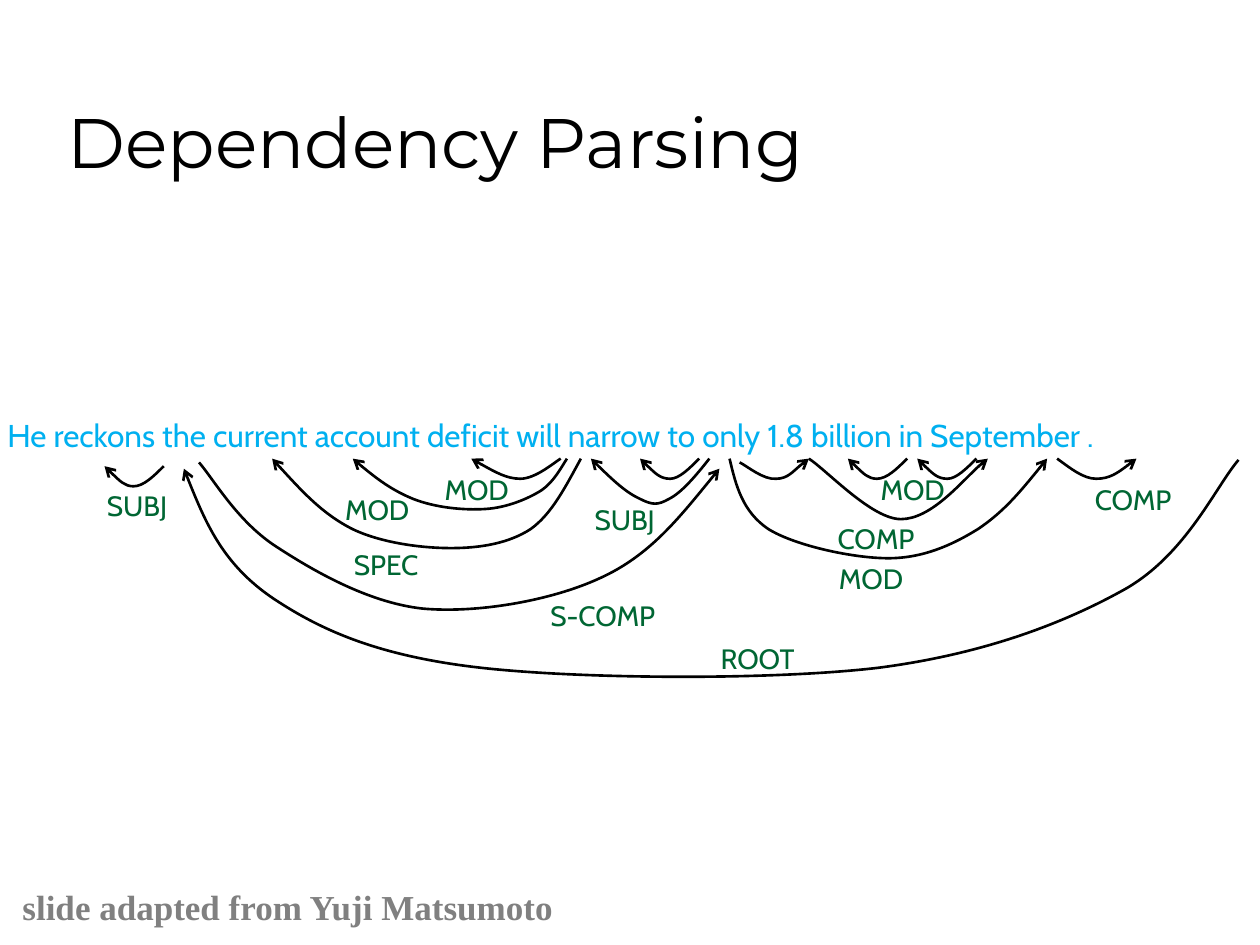
from typing import NamedTuple

from lxml.etree import SubElement
from pptx import Presentation
from pptx.dml.color import RGBColor
from pptx.enum.text import MSO_ANCHOR, MSO_AUTO_SIZE, PP_ALIGN
from pptx.oxml.ns import qn
from pptx.util import Inches, Pt

COLUMNS, ROWS = 1000, 750
WORD_ROW = 364
CUP_DEPTH = 16
LABEL_HEIGHT = 37
LABEL_WIDTHS = {"MOD": 73, "SUBJ": 69, "ROOT": 81, "S-COMP": 104, "SPEC": 72, "COMP": 85}

Point = tuple[int, int]


class Text(NamedTuple):
    """Text in a box measured in grid columns and rows."""
    words: str
    left: int
    top: int
    width: int
    height: int
    font: dict
    color: str
    box: dict = {}
    paragraph: dict = {}
    hanging: float = 0


class Label(NamedTuple):
    """A relation name placed by its column and row."""
    words: str
    left: int
    top: int


class Cup(NamedTuple):
    """A shallow symmetric arc from its dependent to its head word."""
    dependent: int
    head: int
    row: int = WORD_ROW


GROWING = {"word_wrap": False, "auto_size": MSO_AUTO_SIZE.SHAPE_TO_FIT_TEXT}

TEXTS = [
    Text("Dependency Parsing", 44, 25, 850, 125, {"name": "Montserrat", "size": Pt(40)},
         "000000", {"word_wrap": True, "vertical_anchor": MSO_ANCHOR.BOTTOM}),
    Text("slide adapted from Yuji Matsumoto", 8, 698, 445, 44,
         {"name": "Times New Roman", "size": Pt(20), "bold": True}, "808080", GROWING),
    Text("He reckons the current account deficit will narrow to only 1.8 billion in September .",
         -4, 325, 1064, 40, {"name": "Cabin", "size": Pt(18)}, "00B0F0", GROWING,
         {"space_before": Pt(4.5)}, 0.38),
]

LABELS = [
    Label("SUBJ", 75, 383), Label("SUBJ", 462, 394), Label("SPEC", 271, 430),
    Label("MOD", 264, 386), Label("MOD", 343, 370), Label("MOD", 689, 370),
    Label("MOD", 656, 441), Label("COMP", 655, 409), Label("COMP", 859, 378),
    Label("S-COMP", 427, 470), Label("ROOT", 562, 504),
]

CUPS = [Cup(83, 130, 370), Cup(902, 839), Cup(728, 775), Cup(673, 720), Cup(508, 555)]

ARCS: list[list[Point]] = [
    [(642, 364), (637, 367), (625, 380), (616, 380), (606, 381), (593, 370), (587, 367)],
    [(784, 364), (772, 372), (739, 412), (715, 412), (692, 412), (657, 374), (642, 364)],
    [(831, 364), (814, 385), (797, 406), (776, 420), (755, 433), (732, 443), (705, 443),
     (677, 443), (631, 433), (610, 420), (589, 406), (584, 385), (579, 364)],
    [(374, 364), (388, 372), (402, 380), (413, 380), (425, 380), (440, 367), (445, 364)],
    [(280, 364), (295, 377), (311, 389), (328, 396), (346, 403), (368, 405), (385, 404),
     (402, 403), (419, 396), (430, 389), (440, 382), (446, 370), (450, 364)],
    [(216, 364), (236, 386), (256, 408), (280, 420), (303, 431), (335, 435), (358, 435),
     (382, 435), (404, 431), (421, 420), (438, 408), (449, 386), (461, 364)],
    [(469, 364), (483, 378), (497, 391), (508, 396), (518, 401), (522, 401), (531, 396),
     (541, 391), (552, 378), (563, 364)],
    [(571, 372), (543, 406), (516, 441), (476, 459), (437, 477), (378, 487), (335, 483),
     (291, 478), (247, 452), (218, 433), (188, 413), (170, 381), (158, 367)],
    [(146, 372), (161, 410), (177, 448), (217, 475), (256, 501), (302, 521), (382, 530),
     (462, 539), (612, 540), (697, 530), (782, 519), (846, 494), (894, 467),
     (942, 439), (965, 386), (983, 365)],
]


def color(value: str) -> RGBColor:
    """Turn a hex string into a colour."""
    return RGBColor.from_string(value)


def apply(target, values: dict) -> None:
    """Set every attribute named in a dict of format values."""
    for name, value in values.items():
        setattr(target, name, value)


def cup_points(cup: Cup) -> list[Point]:
    """Work out the curve points of a shallow symmetric arc."""
    depths = (0, 0.5, 1, 1, 1, 0.5, 0)
    step = (cup.head - cup.dependent) / 6
    return [(round(cup.dependent + step * index), round(cup.row + CUP_DEPTH * depth))
            for index, depth in enumerate(depths)]


def label_text(label: Label) -> Text:
    """Give a relation name its box and format."""
    return Text(label.words, label.left, label.top, LABEL_WIDTHS[label.words], LABEL_HEIGHT,
                {"name": "Cabin", "size": Pt(16)}, "006633", GROWING)


def draw_text(slide, text: Text, unit: int) -> None:
    """Draw one text box."""
    shape = slide.shapes.add_textbox(
        *(length * unit for length in (text.left, text.top, text.width, text.height)))
    apply(shape.text_frame, text.box)
    paragraph = shape.text_frame.paragraphs[0]
    apply(paragraph, text.paragraph)
    if text.hanging:
        properties = paragraph._p.get_or_add_pPr()
        properties.set("marL", str(Inches(text.hanging)))
        properties.set("indent", str(-Inches(text.hanging)))
    run = paragraph.add_run()
    run.text = text.words
    apply(run.font, text.font)
    run.font.color.rgb = color(text.color)


def draw_arc(slide, points: list[Point], unit: int) -> None:
    """Draw a curve of cubic pieces with an arrowhead at its first point."""
    builder = slide.shapes.build_freeform(*points[0], scale=unit)
    builder.add_line_segments(points[1:], close=False)
    shape = builder.convert_to_shape()
    outline = next(shape._element.iter(qn("a:path")))
    segments = outline.findall(qn("a:lnTo"))
    for first in range(0, len(segments), 3):
        curve = SubElement(outline, qn("a:cubicBezTo"))
        for segment in segments[first:first + 3]:
            curve.append(segment[0])
            outline.remove(segment)
    shape.shadow.inherit = False
    shape.fill.background()
    shape.line.color.rgb = color("000000")
    shape.line.width = Pt(1.5)
    SubElement(shape.line._get_or_add_ln(), qn("a:headEnd"), type="arrow")


def main() -> None:
    """Build the dependency parsing slide."""
    presentation = Presentation()
    apply(presentation, {"slide_width": Inches(10), "slide_height": Inches(7.5)})
    unit = presentation.slide_width // COLUMNS
    slide = presentation.slides.add_slide(presentation.slide_layouts[6])
    for points in [cup_points(cup) for cup in CUPS] + ARCS:
        draw_arc(slide, points, unit)
    for text in TEXTS + [label_text(label) for label in LABELS]:
        draw_text(slide, text, unit)
    presentation.save("out.pptx")


if __name__ == "__main__":
    main()
